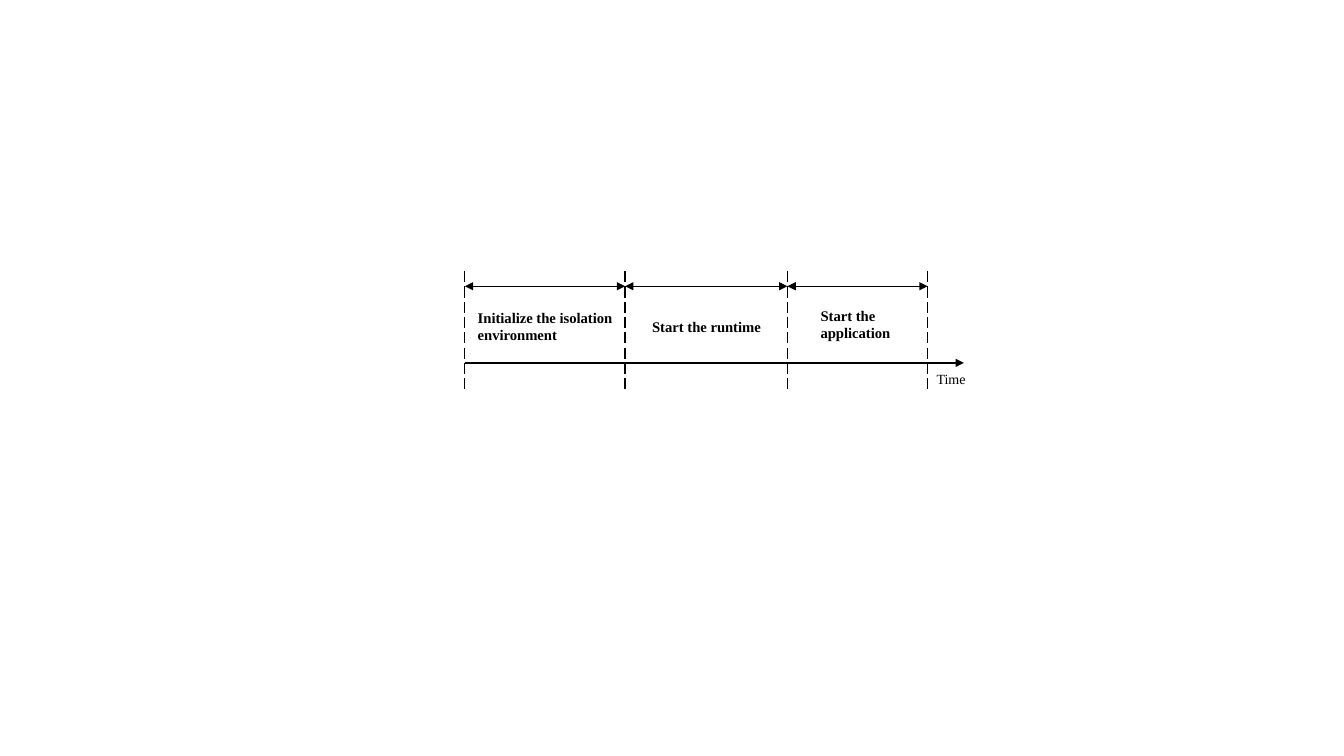
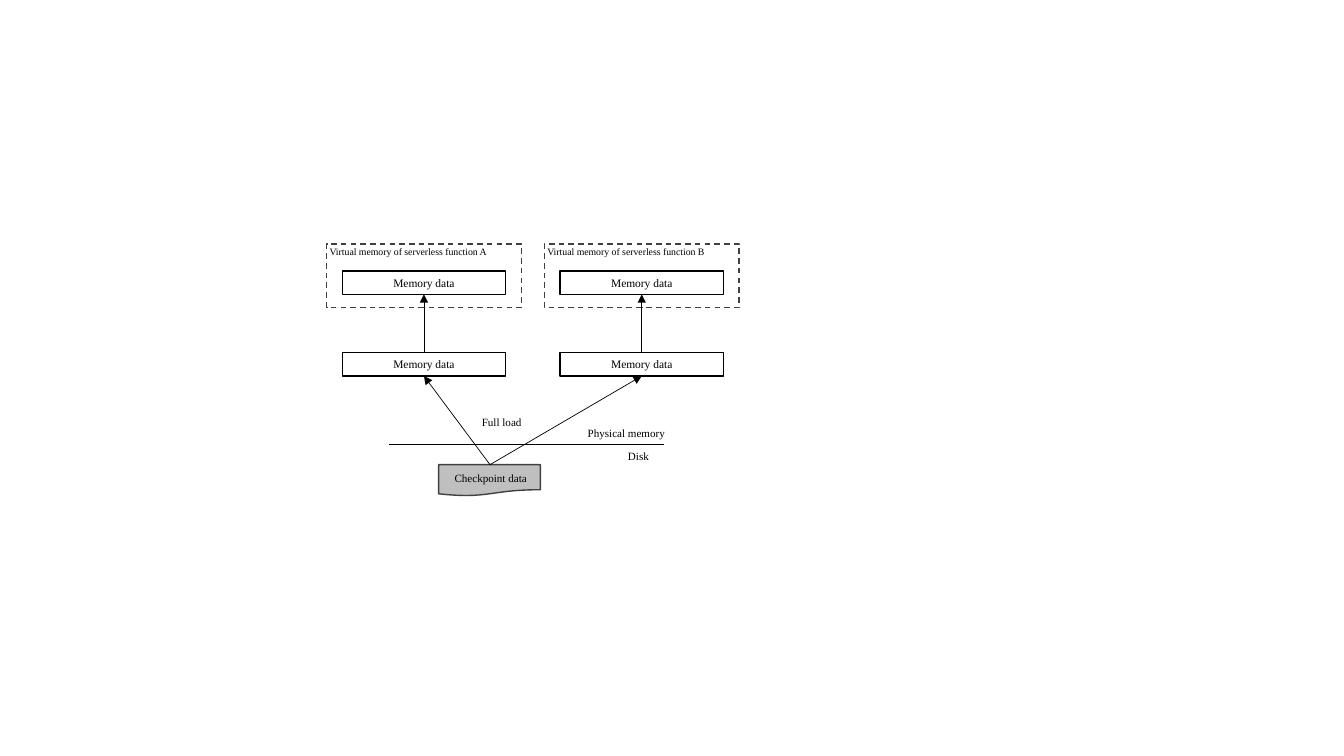
from itertools import pairwise
from lxml import etree
from pptx import Presentation, util as u
from pptx.dml.color import RGBColor
from pptx.enum import dml, shapes, text
from pptx.oxml.ns import qn

BLACK = RGBColor(0, 0, 0)
WHITE = RGBColor(255, 255, 255)
CHARCOAL = RGBColor(0x40, 0x40, 0x40)
SILVER = RGBColor(0xBF, 0xBF, 0xBF)
FONT = "Times New Roman"
DASH = dml.MSO_LINE

deck = Presentation()
deck.slide_width, deck.slide_height = u.Inches(13.33), u.Inches(7.5)
blank = deck.slide_layouts[6]


def draw_line(slide, x1, y1, x2, y2, weight, dash=None, ends=()):
    line = slide.shapes.add_connector(
        shapes.MSO_CONNECTOR.STRAIGHT, *map(u.Inches, (x1, y1, x2, y2)))
    line.line.color.rgb = BLACK
    line.line.width = u.Pt(weight)
    if dash:
        line.line.dash_style = dash
    outline = line.line._get_or_add_ln()
    for end in ends:
        etree.SubElement(outline, qn(f"a:{end}"), type="triangle")
    etree.SubElement(line._element.spPr, qn("a:effectLst"))


def write(shape, words, size, bold=False, align=text.PP_ALIGN.LEFT):
    frame = shape.text_frame
    frame.word_wrap = True
    frame.text = words
    for paragraph in frame.paragraphs:
        paragraph.alignment = align
        paragraph.font.name = FONT
        paragraph.font.size = u.Pt(size)
        paragraph.font.bold = bold
        paragraph.font.color.rgb = BLACK


startup = deck.slides.add_slide(blank)
milestones = [4.61, 6.2, 7.81, 9.2]
draw_line(startup, milestones[0], 3.6, 9.56, 3.6, 1.5, ends=["tailEnd"])
for x in milestones:
    draw_line(startup, x, 2.69, x, 3.89, 1, DASH.LONG_DASH)
for start, finish in pairwise(milestones):
    draw_line(startup, start, 2.84, finish, 2.84, 1, ends=["headEnd", "tailEnd"])
for words, size, bold, *place in [
    ("Time", 10, False, 9.19, 3.63, 0.61, 0.27),
    ("Initialize the isolation environment", 10.5, True, 4.64, 3.01, 1.57, 0.45),
    ("Start the runtime", 10.5, True, 6.37, 3.1, 1.3, 0.28),
    ("Start the\napplication", 10.5, True, 8.04, 2.99, 0.95, 0.45),
]:
    write(startup.shapes.add_textbox(*map(u.Inches, place)), words, size, bold)

loading = deck.slides.add_slide(blank)
RECT = shapes.MSO_SHAPE.RECTANGLE
DOCUMENT = shapes.MSO_SHAPE.FLOWCHART_DOCUMENT
functions = {"A": 3.24, "B": 5.4}
memory_w, memory_h = 1.62, 0.23
virtual_y, physical_y = 2.69, 3.5
memory_inset = 0.155
checkpoint_x, checkpoint_y = 4.86, 4.61

blocks = [(DOCUMENT, SILVER, CHARCOAL, None, "", 4.35, checkpoint_y, 1.01, 0.31)]
for x in functions.values():
    blocks.append((RECT, WHITE, CHARCOAL, DASH.DASH, "", x, 2.42, 1.93, 0.63))
    for y in (virtual_y, physical_y):
        blocks.append((RECT, WHITE, BLACK, None, "Memory data",
                       x + memory_inset, y, memory_w, memory_h))
for outline, fill, edge, dash, words, *place in blocks:
    block = loading.shapes.add_shape(outline, *map(u.Inches, place))
    block.shadow.inherit = False
    block.fill.solid()
    block.fill.fore_color.rgb = fill
    block.line.color.rgb = edge
    block.line.width = u.Pt(1)
    if dash:
        block.line.dash_style = dash
    if words:
        block.text_frame.vertical_anchor = text.MSO_ANCHOR.MIDDLE
        write(block, words, 8.2, align=text.PP_ALIGN.CENTER)

draw_line(loading, 3.86, 4.41, 6.59, 4.41, 0.5)
for x in functions.values():
    center = x + memory_inset + memory_w / 2
    draw_line(loading, checkpoint_x, checkpoint_y, center, physical_y + memory_h,
              0.5, ends=["tailEnd"])
    draw_line(loading, center, physical_y, center, virtual_y + memory_h,
              0.5, ends=["tailEnd"])

captions = [
    ("Checkpoint data", 7.9, 4.41, 4.63, 1.03, 0.23),
    ("Disk", 7.9, 6.13, 4.41, 0.48, 0.23),
    ("Physical memory", 7.9, 5.73, 4.18, 1.03, 0.23),
    ("Full load", 7.9, 4.68, 4.07, 0.65, 0.23),
]
for name, x in functions.items():
    captions.append((f"Virtual memory of serverless function {name}", 7,
                     x - 0.07, 2.39, 1.79, 0.22))
for words, size, *place in captions:
    write(loading.shapes.add_textbox(*map(u.Inches, place)), words, size)

deck.save("out.pptx")
